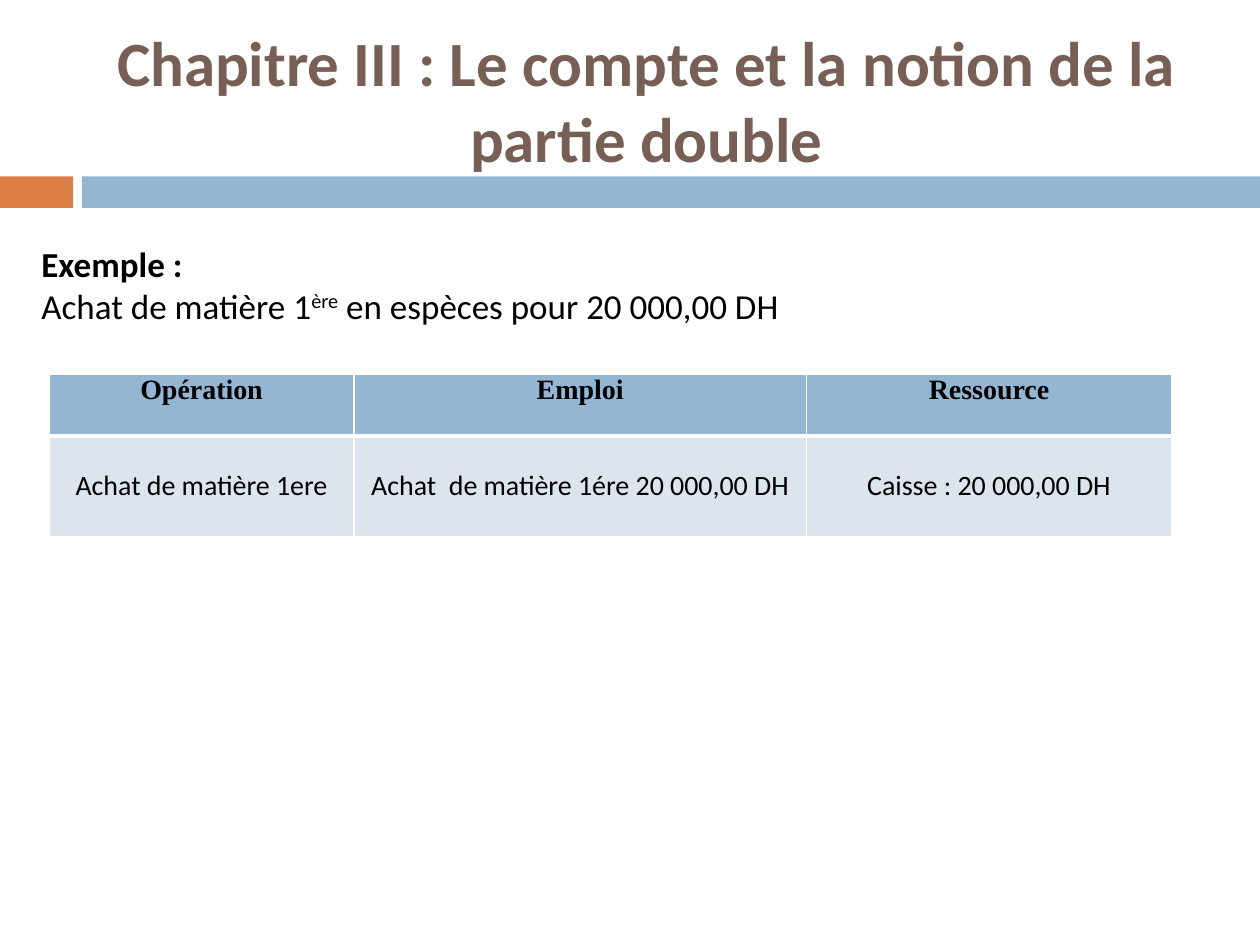
"""Build the slide on accounts and double entry, with its example table."""
from dataclasses import dataclass

from lxml.etree import SubElement
from pptx import Presentation
from pptx.dml.color import RGBColor
from pptx.enum.shapes import MSO_SHAPE
from pptx.enum.text import MSO_ANCHOR, MSO_AUTO_SIZE, PP_ALIGN
from pptx.oxml.ns import qn
from pptx.util import Inches, Pt

ORANGE = RGBColor(0xDD, 0x80, 0x47)
BLUE = RGBColor(0x94, 0xB6, 0xD2)
PALE_BLUE = RGBColor(0xDC, 0xE5, 0xEE)
BROWN = RGBColor(0x77, 0x5F, 0x55)
BLACK = RGBColor(0, 0, 0)
WHITE = RGBColor(0xFF, 0xFF, 0xFF)


@dataclass(frozen=True)
class Band:
    left: float
    width: float
    color: RGBColor


@dataclass(frozen=True)
class Row:
    height: float
    texts: tuple[str, ...]
    fill: RGBColor
    font: str
    bold: bool
    anchor: MSO_ANCHOR
    top_border: float
    bottom_border: float


BANDS = (Band(0, 0.58, ORANGE), Band(0.65, 9.35, BLUE))
COLUMN_WIDTHS = (2.42, 3.59, 2.9)
ROWS = (
    Row(0.49, ("Opération", "Emploi", "Ressource"), BLUE,
        "Times New Roman", True, MSO_ANCHOR.TOP, 1, 3),
    Row(0.8, ("Achat de matière 1ere", "Achat  de matière 1ére 20 000,00 DH",
              "Caisse\u00a0: 20 000,00 DH"), PALE_BLUE,
        "Calibri", False, MSO_ANCHOR.MIDDLE, 3, 1),
)


def add_text(paragraph, text: str, *, size: float, font: str = "Calibri",
             color: RGBColor = BLACK, bold: bool = False,
             align: PP_ALIGN = PP_ALIGN.CENTER, baseline: int = 0) -> None:
    paragraph.alignment = align
    run = paragraph.add_run()
    run.text = text
    run.font.size = Pt(size)
    run.font.name = font
    run.font.bold = bold
    run.font.color.rgb = color
    if baseline:
        run.font._element.set("baseline", str(baseline * 1000))


def add_band(slide, band: Band) -> None:
    bar = slide.shapes.add_shape(MSO_SHAPE.RECTANGLE, Inches(band.left), Inches(1.4),
                                 Inches(band.width), Inches(0.25))
    bar.shadow.inherit = False
    bar.fill.solid()
    bar.fill.fore_color.rgb = band.color
    bar.line.fill.background()


def add_title(slide) -> None:
    title = slide.shapes.title
    title.left, title.top = Inches(0.67), Inches(0.25)
    title.width, title.height = Inches(8.92), Inches(1.08)
    frame = title.text_frame
    frame.auto_size = MSO_AUTO_SIZE.NONE
    frame.vertical_anchor = MSO_ANCHOR.MIDDLE
    add_text(frame.paragraphs[0],
             "Chapitre III\u00a0: Le compte et la notion de la partie double",
             size=36, color=BROWN, bold=True)


def add_example(slide) -> None:
    frame = slide.shapes.add_textbox(Inches(0.23), Inches(1.87),
                                     Inches(8.98), Inches(0.77)).text_frame
    frame.word_wrap = True
    frame.auto_size = MSO_AUTO_SIZE.SHAPE_TO_FIT_TEXT
    frame.vertical_anchor = MSO_ANCHOR.MIDDLE
    add_text(frame.paragraphs[0], "Exemple\u00a0:", size=20, bold=True,
             align=PP_ALIGN.JUSTIFY)
    purchase = frame.add_paragraph()
    for text, baseline in (("Achat de matière 1", 0), ("ère", 30),
                           (" en espèces pour 20 000,00 DH", 0)):
        add_text(purchase, text, size=20, align=PP_ALIGN.JUSTIFY, baseline=baseline)


def set_borders(cell, top: float, bottom: float) -> None:
    properties = cell._tc.get_or_add_tcPr()
    widths = {"a:lnL": 1, "a:lnR": 1, "a:lnT": top, "a:lnB": bottom}
    for position, (tag, width) in enumerate(widths.items()):
        line = SubElement(properties, qn(tag), w=str(Pt(width)))
        properties.insert(position, line)
        fill = SubElement(line, qn("a:solidFill"))
        SubElement(fill, qn("a:srgbClr"), val=str(WHITE))


def add_operations(slide) -> None:
    operations = slide.shapes.add_table(
        len(ROWS), len(COLUMN_WIDTHS), Inches(0.39), Inches(2.97),
        Inches(sum(COLUMN_WIDTHS)), Inches(sum(row.height for row in ROWS))).table
    for column, width in zip(operations.columns, COLUMN_WIDTHS):
        column.width = Inches(width)
    for table_row, row in zip(operations.rows, ROWS):
        table_row.height = Inches(row.height)
        for cell, text in zip(table_row.cells, row.texts):
            cell.margin_left = cell.margin_right = Inches(0.05)
            cell.margin_top = cell.margin_bottom = 0
            cell.vertical_anchor = row.anchor
            cell.fill.solid()
            cell.fill.fore_color.rgb = row.fill
            set_borders(cell, row.top_border, row.bottom_border)
            add_text(cell.text_frame.paragraphs[0], text, size=16,
                     font=row.font, bold=row.bold)


def main() -> None:
    presentation = Presentation()
    presentation.slide_width, presentation.slide_height = Inches(10), Inches(7.5)
    slide = presentation.slides.add_slide(presentation.slide_layouts[5])
    for band in BANDS:
        add_band(slide, band)
    add_title(slide)
    add_example(slide)
    add_operations(slide)
    presentation.save("out.pptx")


if __name__ == "__main__":
    main()
